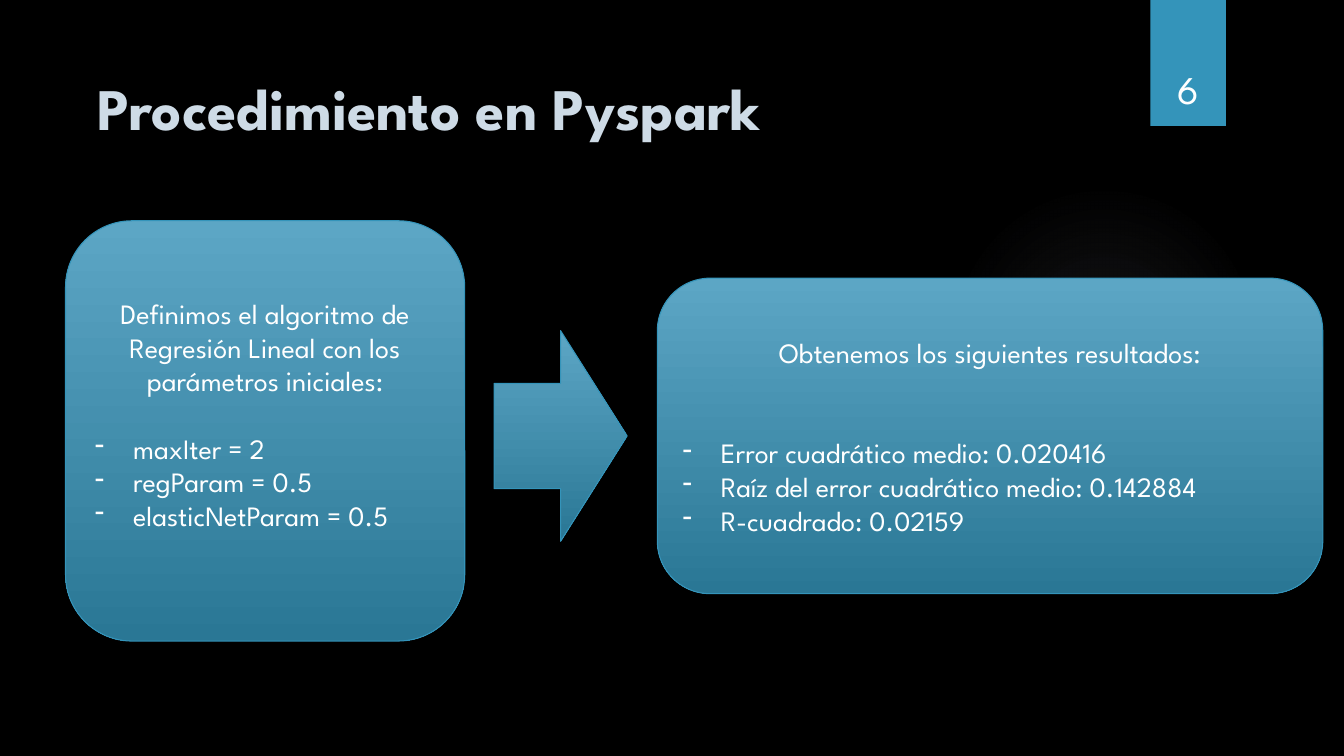
from lxml import etree
from pptx import Presentation
from pptx.dml.color import RGBColor
from pptx.enum.shapes import MSO_SHAPE
from pptx.enum.text import MSO_ANCHOR, MSO_AUTO_SIZE, PP_ALIGN
from pptx.oxml import parse_xml
from pptx.oxml.ns import qn
from pptx.util import Emu, Pt

EMU_PER_PX = 9144
FONT = "League Spartan"
ACCENT, WHITE = "3494BA", "FFFFFF"
ROUNDED, ARROW = MSO_SHAPE.ROUNDED_RECTANGLE, MSO_SHAPE.RIGHT_ARROW
RECTANGLE, OVAL = MSO_SHAPE.RECTANGLE, MSO_SHAPE.OVAL
LEFT, CENTER = PP_ALIGN.LEFT, PP_ALIGN.CENTER
TOP, MIDDLE, BOTTOM = MSO_ANCHOR.TOP, MSO_ANCHOR.MIDDLE, MSO_ANCHOR.BOTTOM
NO_AUTOFIT = MSO_AUTO_SIZE.NONE
DRAWING_NS = "http://schemas.openxmlformats.org/drawingml/2006/main"


def px(length):
    return Emu(length * EMU_PER_PX)


def box(*lengths):
    return [px(length) for length in lengths]


def color(hex_value):
    return RGBColor.from_string(hex_value)


def apply_format(target, values):
    for name, value in values.items():
        setattr(target, name, value)


def write(paragraph, text, size, hex_value=WHITE, bold=False, **layout):
    run = paragraph.add_run()
    run.text = text
    apply_format(run.font, {"name": FONT, "size": Pt(size), "bold": bold})
    run.font.color.rgb = color(hex_value)
    apply_format(paragraph, layout)


def add_plain_shape(slide, kind, bounds):
    shape = slide.shapes.add_shape(kind, *box(*bounds))
    shape.shadow.inherit = False
    shape.line.fill.background()
    return shape


def add_glow(slide, bounds, hex_value, stops):
    glow = add_plain_shape(slide, OVAL, bounds)
    glow.fill.background()
    stop_xml = "".join(
        f'<a:gs pos="{position * 1000}"><a:srgbClr val="{hex_value}">'
        f'<a:alpha val="{opacity * 1000}"/></a:srgbClr></a:gs>'
        for position, opacity in stops
    )
    gradient = parse_xml(
        f'<a:gradFill xmlns:a="{DRAWING_NS}"><a:gsLst>{stop_xml}</a:gsLst>'
        '<a:path path="circle"><a:fillToRect l="50000" t="50000" '
        'r="50000" b="50000"/></a:path></a:gradFill>'
    )
    properties = glow.fill._xPr
    properties.replace(properties.find(qn("a:noFill")), gradient)


def add_gradient_shape(slide, kind, bounds):
    shape = add_plain_shape(slide, kind, bounds)
    shape.fill.gradient()
    shape.fill.gradient_angle = 270
    for stop, hex_value in zip(shape.fill.gradient_stops, ("5CA6C5", "2A7795")):
        stop.color.rgb = color(hex_value)
    shape.line.color.rgb = color(ACCENT)
    shape.line.width = Pt(0.75)
    return shape


def add_dash(paragraph):
    properties = paragraph._p.get_or_add_pPr()
    properties.set("marL", str(px(38)))
    properties.set("indent", str(-px(38)))
    etree.SubElement(properties, qn("a:buFontTx"))
    etree.SubElement(properties, qn("a:buChar"), char="-")


def add_panel(slide, bounds, intro, items, gap, bottom_inset):
    frame = add_gradient_shape(slide, ROUNDED, bounds).text_frame
    apply_format(frame, {"word_wrap": True, "vertical_anchor": MIDDLE,
                         "margin_bottom": px(bottom_inset)})
    write(frame.paragraphs[0], intro, 20, alignment=CENTER, space_after=Pt(gap))
    for item in items:
        paragraph = frame.add_paragraph()
        write(paragraph, item, 20, alignment=LEFT)
        add_dash(paragraph)


def add_page_number(slide, number):
    tab = add_plain_shape(slide, RECTANGLE, (1141, 0, 75, 125))
    tab.fill.solid()
    tab.fill.fore_color.rgb = color(ACCENT)
    frame = slide.shapes.add_textbox(*box(1132, 32, 92, 84)).text_frame
    apply_format(frame, {"word_wrap": True, "vertical_anchor": BOTTOM})
    write(frame.paragraphs[0], number, 28, alignment=CENTER)


def set_title(slide, text):
    title = slide.shapes.title
    apply_format(title, dict(zip(("left", "top", "width", "height"),
                                 box(87, 66, 1029, 153))))
    apply_format(title.text_frame, {"word_wrap": True, "vertical_anchor": TOP,
                                    "auto_size": NO_AUTOFIT})
    write(title.text_frame.paragraphs[0], text, 42, "CEDBE6", True, alignment=LEFT)


def main():
    presentation = Presentation()
    apply_format(presentation, {"slide_width": px(1333), "slide_height": px(750)})
    slide = presentation.slides.add_slide(presentation.slide_layouts[5])
    slide.background.fill.solid()
    slide.background.fill.fore_color.rgb = color("000000")

    add_glow(slide, (941, 183, 308, 308), "AAA7BC", [(0, 7), (36, 6), (69, 0)])
    add_page_number(slide, "6")
    set_title(slide, "Procedimiento en Pyspark")
    add_panel(
        slide, (65, 219, 396, 417),
        "Definimos el algoritmo de Regresión Lineal con los parámetros iniciales:",
        ["maxIter = 2", "regParam = 0.5", "elasticNetParam = 0.5"],
        gap=24, bottom_inset=38,
    )
    add_gradient_shape(slide, ARROW, (490, 328, 132, 209))
    add_panel(
        slide, (652, 276, 660, 313),
        "Obtenemos los siguientes resultados:",
        ["Error cuadrático medio: 0.020416",
         "Raíz del error cuadrático medio: 0.142884",
         "R-cuadrado: 0.02159"],
        gap=48, bottom_inset=5,
    )
    presentation.save("out.pptx")


if __name__ == "__main__":
    main()
